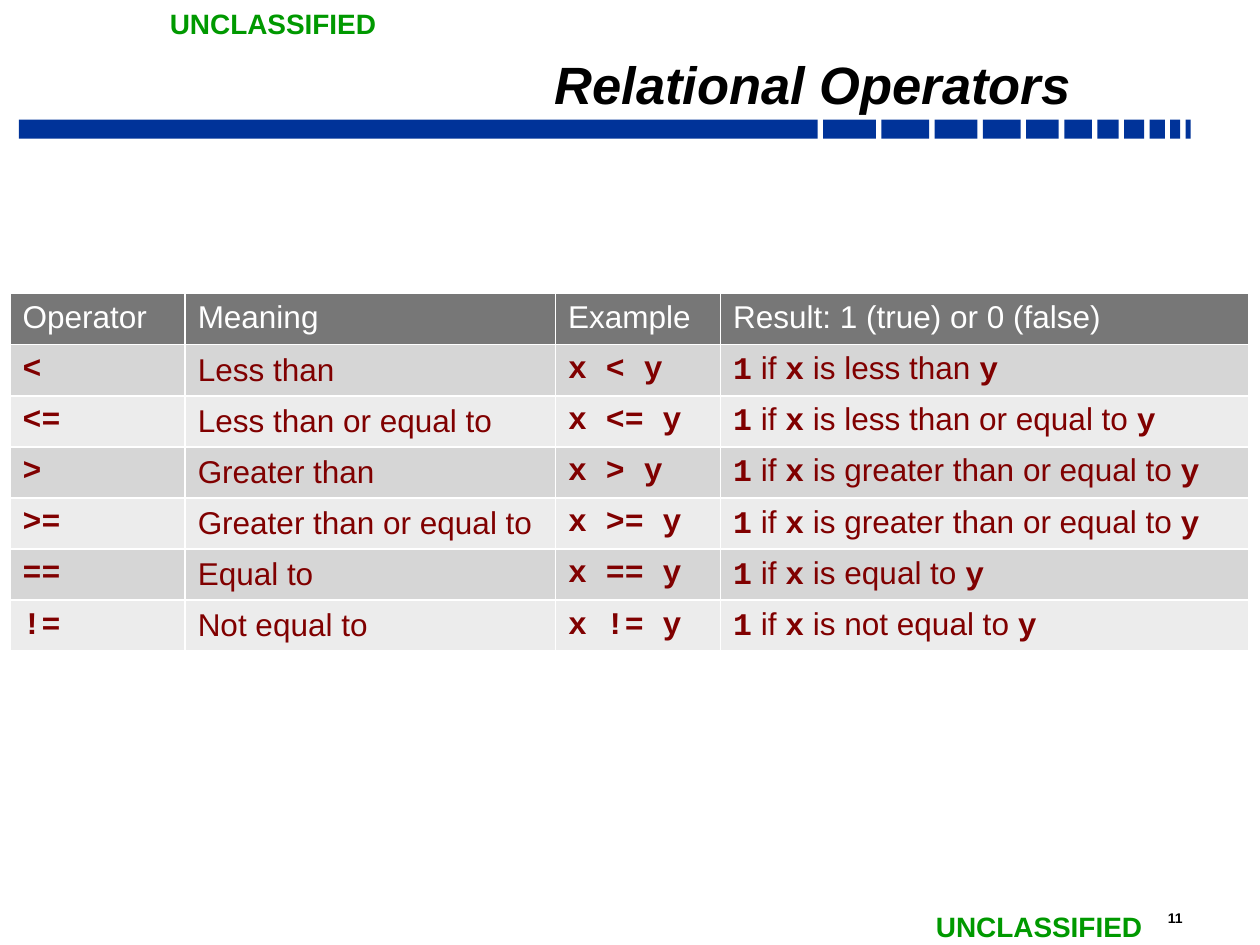
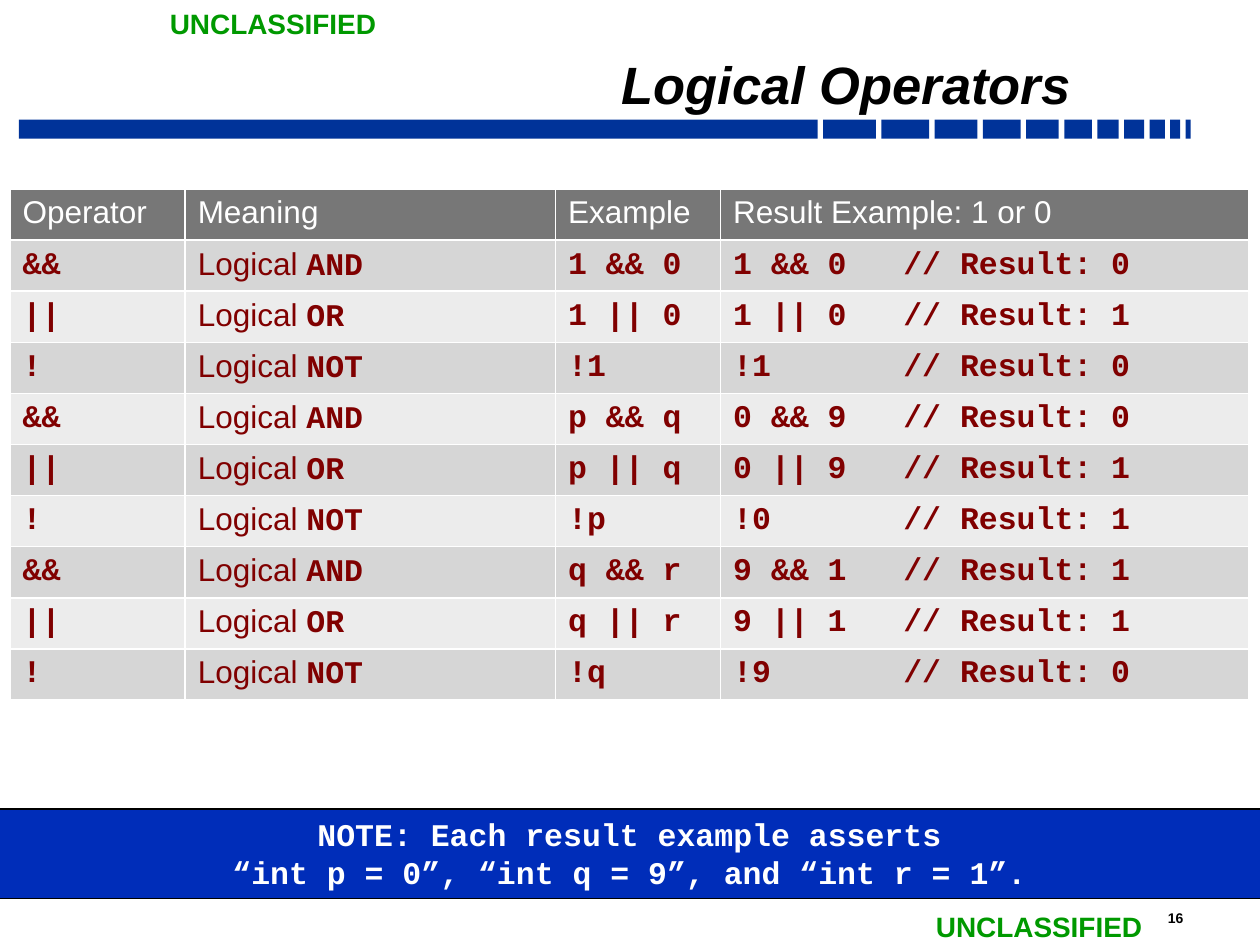
import lxml.etree
import pptx
import pptx.dml.color
import pptx.enum.shapes
import pptx.enum.text
import pptx.oxml
import pptx.oxml.ns
import pptx.util

Inches = pptx.util.Inches
Pt = pptx.util.Pt
ALIGN = pptx.enum.text.PP_ALIGN
ANCHOR = pptx.enum.text.MSO_ANCHOR
RECTANGLE = pptx.enum.shapes.MSO_SHAPE.RECTANGLE

# Shared colours and fonts
BAND_BLUE, NOTE_BLUE = "003399", "002DB9"
BLACK, WHITE, GREEN, MAROON = "000000", "FFFFFF", "009900", "800000"
HEADER_GRAY, ROW_GRAYS = "777777", ["D6D6D6", "ECECEC"]
BODY_FONT, CODE_FONT = "Arial", "Courier New"

# Shared layout
BAND_LEFT, BAND_RIGHT = 0.15, 9.45
BAND_WIDTHS = [6.34, 0.42, 0.38, 0.34, 0.3, 0.26, 0.22, 0.17, 0.16, 0.12, 0.08, 0.04]
BAND_GAP = (BAND_RIGHT - BAND_LEFT - sum(BAND_WIDTHS)) / (len(BAND_WIDTHS) - 1)
COLUMN_WIDTHS = [1.39, 2.94, 1.31, 4.19]
ROW_HEIGHT = 2.84 / 7
RESULT_TAB = 1.35


def color(hex_string):
    return pptx.dml.color.RGBColor.from_string(hex_string)


def write_text(paragraph, text, size=18, text_color=BLACK, bold=False, italic=False,
               align=ALIGN.LEFT):
    """Write text into a paragraph; parts between backticks are bold code."""
    paragraph.alignment = align
    for index, part in enumerate(text.split("`")):
        if not part:
            continue
        is_code = index % 2 == 1
        run = paragraph.add_run()
        run.text = part
        run.font.name = CODE_FONT if is_code else BODY_FONT
        run.font.size = Pt(size)
        run.font.bold = bold or is_code
        run.font.italic = italic
        run.font.color.rgb = color(text_color)


# Table contents
relational_rows = [["Operator", "Meaning", "Example", "Result: 1 (true) or 0 (false)"]]
for operator, meaning, result in [
    ("<", "Less than", "less than"),
    ("<=", "Less than or equal to", "less than or equal to"),
    (">", "Greater than", "greater than or equal to"),
    (">=", "Greater than or equal to", "greater than or equal to"),
    ("==", "Equal to", "equal to"),
    ("!=", "Not equal to", "not equal to"),
]:
    relational_rows.append([f"`{operator}`", meaning, f"`x {operator} y`",
                            f"`1` if `x` is {result} `y`"])

logical_rows = [["Operator", "Meaning", "Example", "Result Example: 1 or 0"]]
logical_names = {"&&": "AND", "||": "OR", "!": "NOT"}
for operator, example, expression, result in [
    ("&&", "1 && 0", "1 && 0", 0),
    ("||", "1 || 0", "1 || 0", 1),
    ("!", "!1", "!1", 0),
    ("&&", "p && q", "0 && 9", 0),
    ("||", "p || q", "0 || 9", 1),
    ("!", "!p", "!0", 1),
    ("&&", "q && r", "9 && 1", 1),
    ("||", "q || r", "9 || 1", 1),
    ("!", "!q", "!9", 0),
]:
    logical_rows.append([f"`{operator}`", f"Logical `{logical_names[operator]}`",
                         f"`{example}`", f"`{expression}\t// Result: {result}`"])

presentation = pptx.Presentation()
presentation.slide_width = Inches(10)
presentation.slide_height = Inches(7.5)

for title_text, number, table_top, rows in [
    ("Relational Operators", "11", 2.33, relational_rows),
    ("Logical Operators", "16", 1.5, logical_rows),
]:
    slide = presentation.slides.add_slide(presentation.slide_layouts[5])

    # Title
    title = slide.shapes.title
    title.left, title.top = Inches(1.67), Inches(0.35)
    title.width, title.height = Inches(6.92), Inches(0.59)
    frame = title.text_frame
    frame.auto_size = pptx.enum.text.MSO_AUTO_SIZE.NONE
    frame.vertical_anchor = ANCHOR.BOTTOM
    frame.margin_left = frame.margin_right = Inches(0.09)
    frame.margin_top = frame.margin_bottom = Inches(0.04)
    frame.paragraphs[0].line_spacing = 0.7
    write_text(frame.paragraphs[0], title_text, size=30, bold=True, italic=True,
               align=ALIGN.RIGHT)

    # Band of shrinking blocks
    block_left = BAND_LEFT
    for block_width in BAND_WIDTHS:
        block = slide.shapes.add_shape(RECTANGLE, Inches(block_left), Inches(0.95),
                                       Inches(block_width), Inches(0.15))
        block.shadow.inherit = False
        block.fill.solid()
        block.fill.fore_color.rgb = color(BAND_BLUE)
        block.line.fill.background()
        block_left += block_width + BAND_GAP

    # Markings and slide number
    for text, left, top, width, height, size, text_color, wrap in [
        ("UNCLASSIFIED", 1.25, 0, 1.86, 0.37, 16, GREEN, False),
        ("UNCLASSIFIED", 7.33, 7.17, 1.86, 0.37, 16, GREEN, False),
        (number, 9.17, 7.17, 0.54, 0.23, 8, BLACK, True),
    ]:
        label = slide.shapes.add_textbox(Inches(left), Inches(top),
                                         Inches(width), Inches(height))
        label.text_frame.word_wrap = wrap
        write_text(label.text_frame.paragraphs[0], text, size=size,
                   text_color=text_color, bold=True)

    # Operator table
    table = slide.shapes.add_table(len(rows), len(COLUMN_WIDTHS), Inches(0.08),
                                   Inches(table_top), Inches(sum(COLUMN_WIDTHS)),
                                   Inches(ROW_HEIGHT * len(rows))).table
    table.horz_banding = False
    for column, column_width in zip(table.columns, COLUMN_WIDTHS):
        column.width = Inches(column_width)
    for row_index, row in enumerate(rows):
        is_header = row_index == 0
        for column_index, text in enumerate(row):
            cell = table.cell(row_index, column_index)
            cell.vertical_anchor = ANCHOR.TOP if is_header else ANCHOR.MIDDLE
            cell.fill.solid()
            cell.fill.fore_color.rgb = color(
                HEADER_GRAY if is_header else ROW_GRAYS[(row_index - 1) % 2])
            paragraph = cell.text_frame.paragraphs[0]
            write_text(paragraph, text, text_color=WHITE if is_header else MAROON)

            # Tab stop that lines up the result comments
            if "\t" in text:
                properties = paragraph._p.get_or_add_pPr()
                tabs = lxml.etree.SubElement(properties, pptx.oxml.ns.qn("a:tabLst"))
                lxml.etree.SubElement(tabs, pptx.oxml.ns.qn("a:tab"),
                                      pos=str(Inches(RESULT_TAB)), algn="l")

            # Thin white borders, placed before the fill
            cell_properties = cell._tc.get_or_add_tcPr()
            for position, side in enumerate(["lnL", "lnR", "lnT", "lnB"]):
                cell_properties.insert(position, pptx.oxml.parse_xml(
                    f'<a:{side} {pptx.oxml.ns.nsdecls("a")} w="{Pt(1)}"><a:solidFill>'
                    f'<a:srgbClr val="{WHITE}"/></a:solidFill></a:{side}>'))

# Note under the logical operators
note = slide.shapes.add_shape(RECTANGLE, Inches(-0.17), Inches(6.42),
                              Inches(10.33), Inches(0.71))
note.shadow.inherit = False
note.fill.solid()
note.fill.fore_color.rgb = color(NOTE_BLUE)
note.line.color.rgb = color(BLACK)
note.line.width = Pt(0.75)
note.text_frame.word_wrap = True
note.text_frame.vertical_anchor = ANCHOR.TOP
note_paragraph = note.text_frame.paragraphs[0]
write_text(note_paragraph, "`NOTE: Each result example asserts`", text_color=WHITE,
           align=ALIGN.CENTER)
note_paragraph = note.text_frame.add_paragraph()
write_text(note_paragraph, "`“int p = 0”, “int q = 9”, and “int r = 1”.`",
           text_color=WHITE, align=ALIGN.CENTER)

presentation.save("out.pptx")
